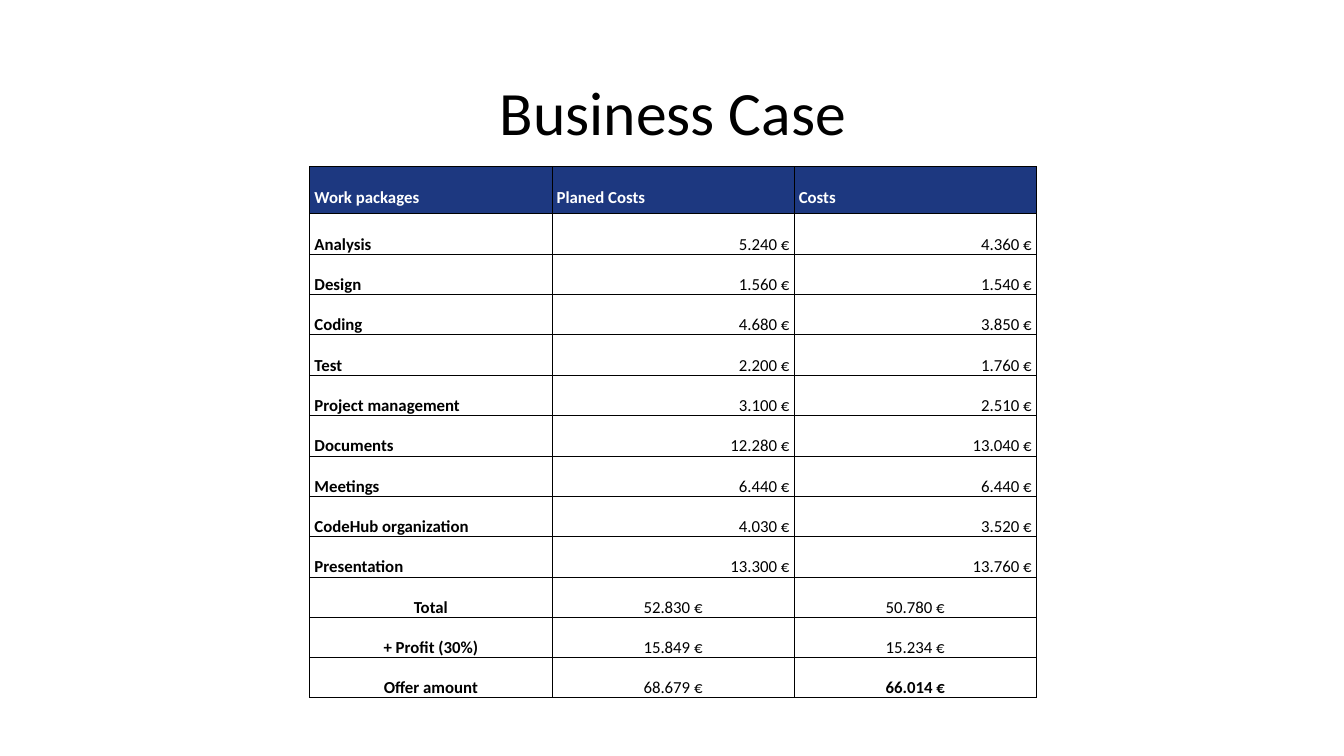
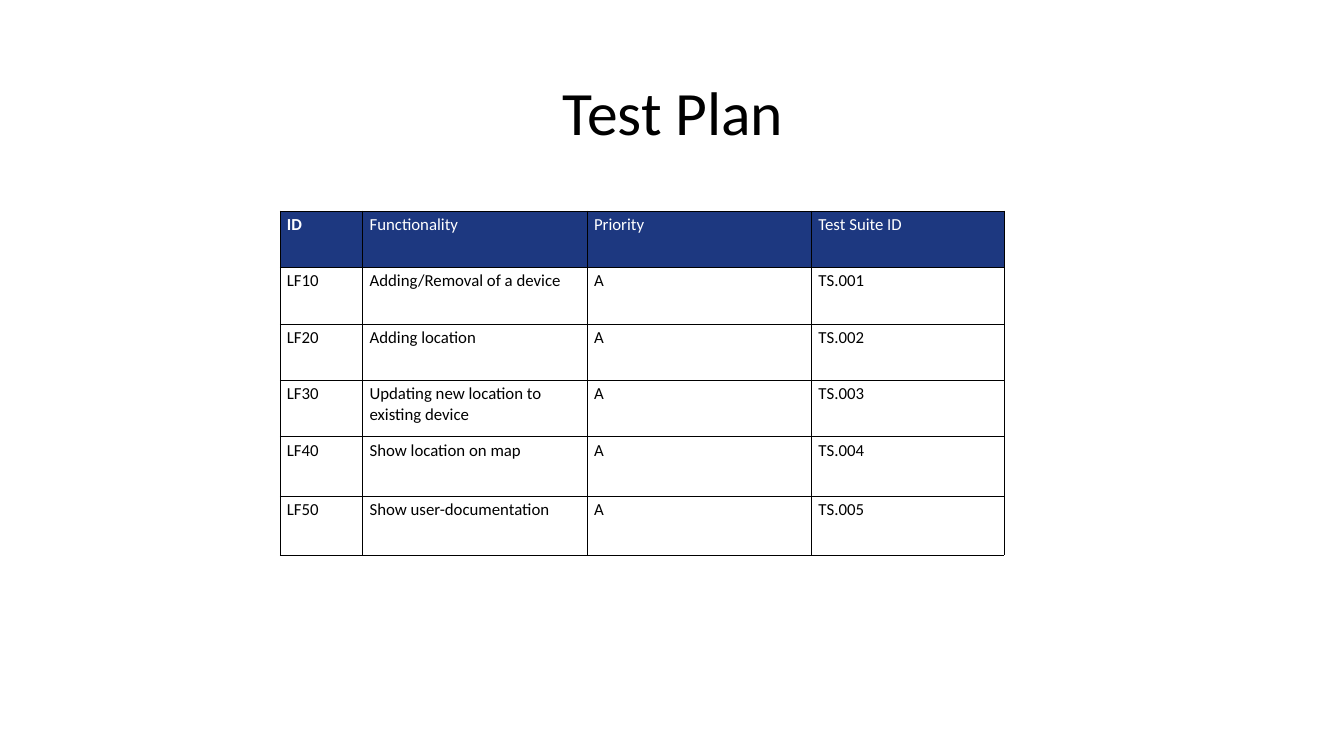
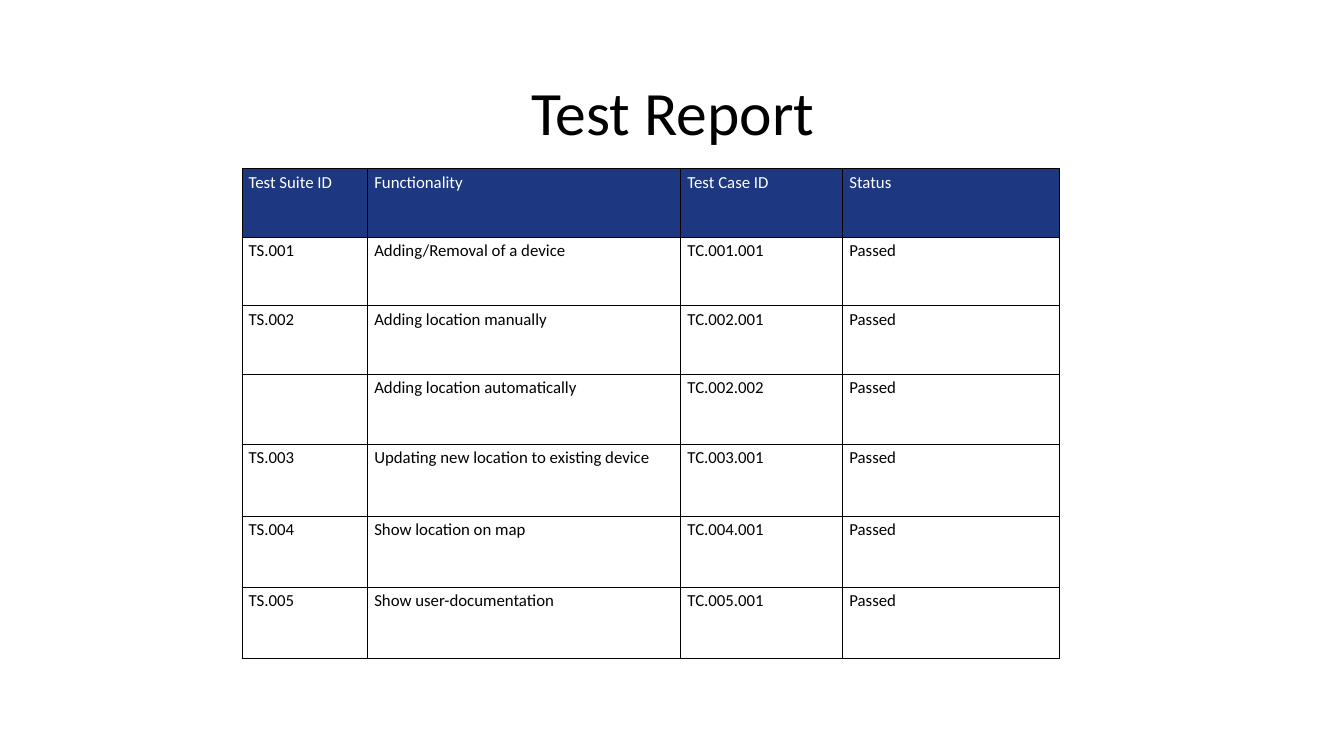
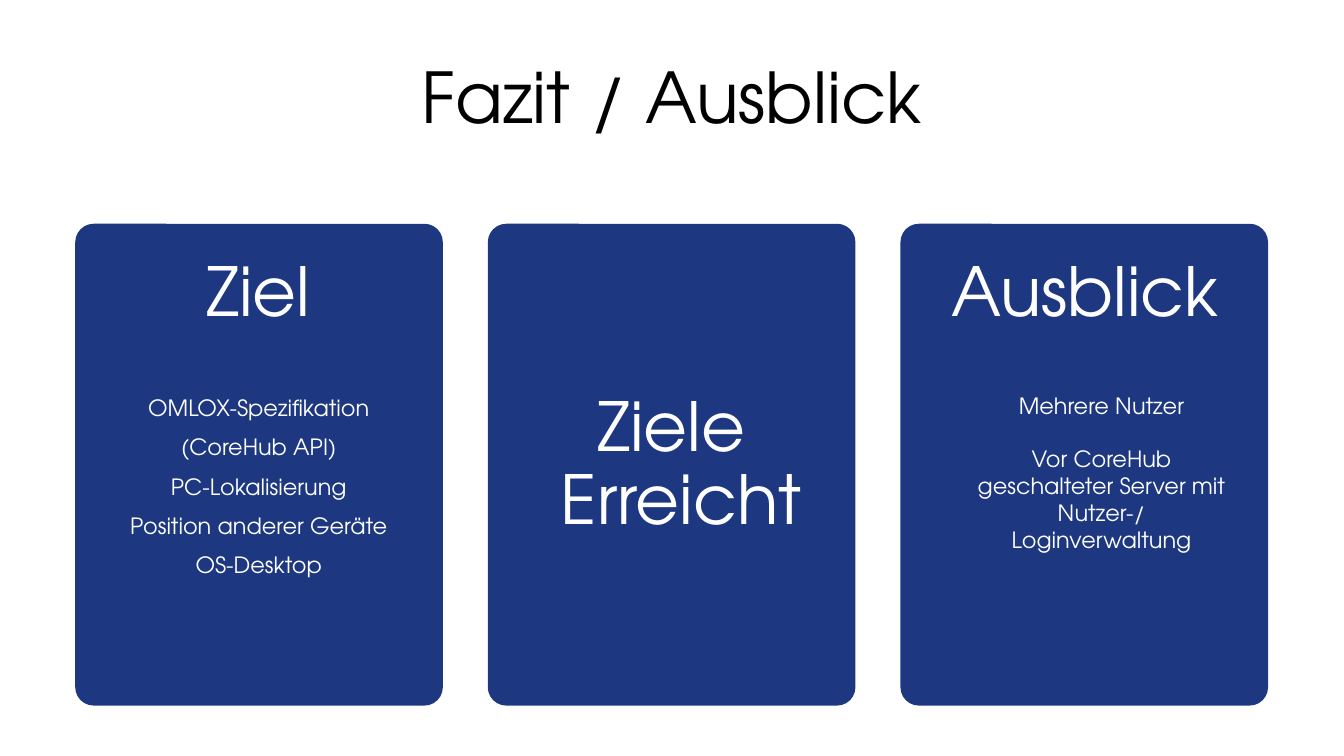
"""Build four project slides: business case, test plan, test report and outlook."""
import pptx
import pptx.dml.color
import pptx.enum.shapes
import pptx.enum.text
import pptx.oxml
import pptx.oxml.ns
import pptx.util

NAVY = pptx.dml.color.RGBColor(0x1D, 0x38, 0x80)
WHITE = pptx.dml.color.RGBColor(0xFF, 0xFF, 0xFF)
BLACK = pptx.dml.color.RGBColor(0x00, 0x00, 0x00)
BODY_FONT = "Calibri"
CARD_FONT = "TeX Gyre Adventor"
LEFT = pptx.enum.text.PP_ALIGN.LEFT
CENTER = pptx.enum.text.PP_ALIGN.CENTER
RIGHT = pptx.enum.text.PP_ALIGN.RIGHT
W, H = pptx.util.Inches(20), pptx.util.Inches(11.25)


def area(left, top, width, height):
    """Turn percentages of the slide into left, top, width and height."""
    return [int(side * share / 100) for side, share in zip((W, H, W, H), (left, top, width, height))]


def text(tf, lines, size=18, color=BLACK, font=BODY_FONT, bold=False, align=CENTER,
         spacing=None, before=0, indents=(), margins=(0, 0)):
    """Write one paragraph per line into a text frame."""
    tf.word_wrap = True
    tf.margin_left = tf.margin_right = pptx.util.Inches(margins[0])
    tf.margin_top = tf.margin_bottom = pptx.util.Inches(margins[1])
    for i, line in enumerate(lines):
        p = tf.add_paragraph() if i else tf.paragraphs[0]
        p.alignment = align
        if spacing:
            p.line_spacing = spacing
        if i and before:
            p.space_before = pptx.util.Pt(before)
        if indents:
            p._p.get_or_add_pPr().set("marL", str(pptx.util.Inches(indents[i])))
        p.font.size = pptx.util.Pt(size)
        if line:
            r = p.add_run()
            r.text = line
            r.font.size = pptx.util.Pt(size)
            r.font.name = font
            r.font.bold = bold
            r.font.color.rgb = color


prs = pptx.Presentation()
prs.slide_width, prs.slide_height = W, H

costs = [
    ["Work packages", "Planed Costs", "Costs"],
    ["Analysis", "5.240 €", "4.360 €"],
    ["Design", "1.560 €", "1.540 €"],
    ["Coding", "4.680 €", "3.850 €"],
    ["Test", "2.200 €", "1.760 €"],
    ["Project management", "3.100 €", "2.510 €"],
    ["Documents", "12.280 €", "13.040 €"],
    ["Meetings", "6.440 €", "6.440 €"],
    ["CodeHub organization", "4.030 €", "3.520 €"],
    ["Presentation", "13.300 €", "13.760 €"],
    ["Total", "52.830 €", "50.780 €"],
    ["+ Profit (30%)", "15.849 €", "15.234 €"],
    ["Offer amount", "68.679 €", "66.014 €"],
]
plan = [
    ["ID", "Functionality", "Priority", "Test Suite ID"],
    ["LF10", "Adding/Removal of a device", "A", "TS.001"],
    ["LF20", "Adding location", "A", "TS.002"],
    ["LF30", "Updating new location to existing device", "A", "TS.003"],
    ["LF40", "Show location on map", "A", "TS.004"],
    ["LF50", "Show user-documentation", "A", "TS.005"],
]
report = [
    ["Test Suite ID", "Functionality", "Test Case ID", "Status"],
    ["TS.001", "Adding/Removal of a device", "TC.001.001", "Passed"],
    ["TS.002", "Adding location manually", "TC.002.001", "Passed"],
    ["", "Adding location automatically", "TC.002.002", "Passed"],
    ["TS.003", "Updating new location to existing device", "TC.003.001", "Passed"],
    ["TS.004", "Show location on map", "TC.004.001", "Passed"],
    ["TS.005", "Show user-documentation", "TC.005.001", "Passed"],
]
tables = [
    ("Business Case", costs, 23.05, 22.04, [18.02] * 3, [6.22] + [5.16] * 12, 0.75, 0.5),
    ("Test Plan", plan, 20.85, 27.91, [6.15, 16.7, 16.7, 14.3], [7.47] * 4 + [7.82] * 2, 1, 1),
    ("Test Report", report, 18, 22.31, [9.35, 23.3, 12.05, 16.15],
     [9.07] * 3 + [9.24, 9.51, 9.42, 9.42], 1, 1),
]

for title, rows, left, top, widths, heights, outer, inner in tables:
    s = prs.slides.add_slide(prs.slide_layouts[6])
    text(s.shapes.add_textbox(*area(5.6, 9.78, 88.95, 9.87)).text_frame, [title],
         size=66, spacing=pptx.util.Pt(79.2))
    frame = s.shapes.add_table(len(rows), len(widths), *area(left, top, sum(widths), sum(heights)))
    table = frame.table
    table.first_row = table.horz_banding = False
    for column, width in zip(table.columns, widths):
        column.width = int(W * width / 100)
    for row, height in zip(table.rows, heights):
        row.height = int(H * height / 100)
    last_row, last_col = len(rows) - 1, len(widths) - 1
    for i, values in enumerate(rows):
        for j, value in enumerate(values):
            cell = table.cell(i, j)
            fmt = {"color": BLACK if i else WHITE, "align": LEFT, "margins": (0.1, 0.05)}
            if rows is costs:
                fmt.update(spacing=2.0, margins=(0.07, 0))
                fmt["bold"] = i == 0 or j == 0 or (i, j) == (last_row, last_col)
                if i >= last_row - 2:
                    fmt["align"] = CENTER
                elif i and j:
                    fmt["align"] = RIGHT
            else:
                fmt["bold"] = value == "ID"
            margins = fmt.pop("margins")
            text(cell.text_frame, [value], **fmt)
            cell.margin_left = cell.margin_right = pptx.util.Inches(margins[0])
            cell.margin_top = cell.margin_bottom = pptx.util.Inches(margins[1])
            tcPr = cell._tc.get_or_add_tcPr()
            edges = {"lnL": j == 0, "lnR": j == last_col, "lnT": i == 0, "lnB": i == last_row}
            for tag, outside in edges.items():
                width = pptx.util.Pt(outer if outside else inner)
                tcPr.append(pptx.oxml.parse_xml(
                    f'<a:{tag} {pptx.oxml.ns.nsdecls("a")} w="{width}"><a:solidFill>'
                    f'<a:srgbClr val="{BLACK}"/></a:solidFill></a:{tag}>'))
            if i:
                cell.fill.background()
            else:
                cell.fill.solid()
                cell.fill.fore_color.rgb = NAVY

s = prs.slides.add_slide(prs.slide_layouts[6])
text(s.shapes.add_textbox(*area(5.6, 7.11, 88.75, 11.2)).text_frame, ["Fazit / Ausblick"],
     size=75, font=CARD_FONT, spacing=pptx.util.Pt(90))
for i in range(3):
    sp = s.shapes.add_shape(pptx.enum.shapes.MSO_SHAPE.ROUNDED_RECTANGLE,
                            *area(5.6 + 30.7 * i, 29.6, 27.35, 63.73))
    sp.adjustments[0] = 0.05
    sp.shadow.inherit = False
    sp.fill.solid()
    sp.fill.fore_color.rgb = NAVY
    sp.line.fill.background()

heading = {"size": 72.5, "spacing": pptx.util.Pt(78.3)}
goals = ["OMLOX-Spezifikation", "(CoreHub API)", "PC-Lokalisierung",
         "Position anderer Geräte", "OS-Desktop"]
outlook = ["Mehrere Nutzer", "Vor CoreHub geschalteter Server mit Nutzer-/ Loginverwaltung"]
card_texts = [
    ((12.8, 34.04, 12.9, 9.69), ["Ziel"], heading),
    ((8.25, 53.07, 22, 26.04), goals, {"size": 24, "spacing": pptx.util.Pt(21.1), "before": 21.1}),
    ((36.95, 51.82, 26.05, 19.47), ["Ziele", "Erreicht"], {**heading, "indents": (0, 0.28)}),
    ((69.95, 34.04, 21.55, 9.69), ["Ausblick"], heading),
    ((69.7, 51.82, 22, 24), outlook, {"size": 24, "before": 28.5, "indents": (0.5, 0.5)}),
]
for box, lines, fmt in card_texts:
    text(s.shapes.add_textbox(*area(*box)).text_frame, lines, color=WHITE, font=CARD_FONT, **fmt)

prs.save("out.pptx")
